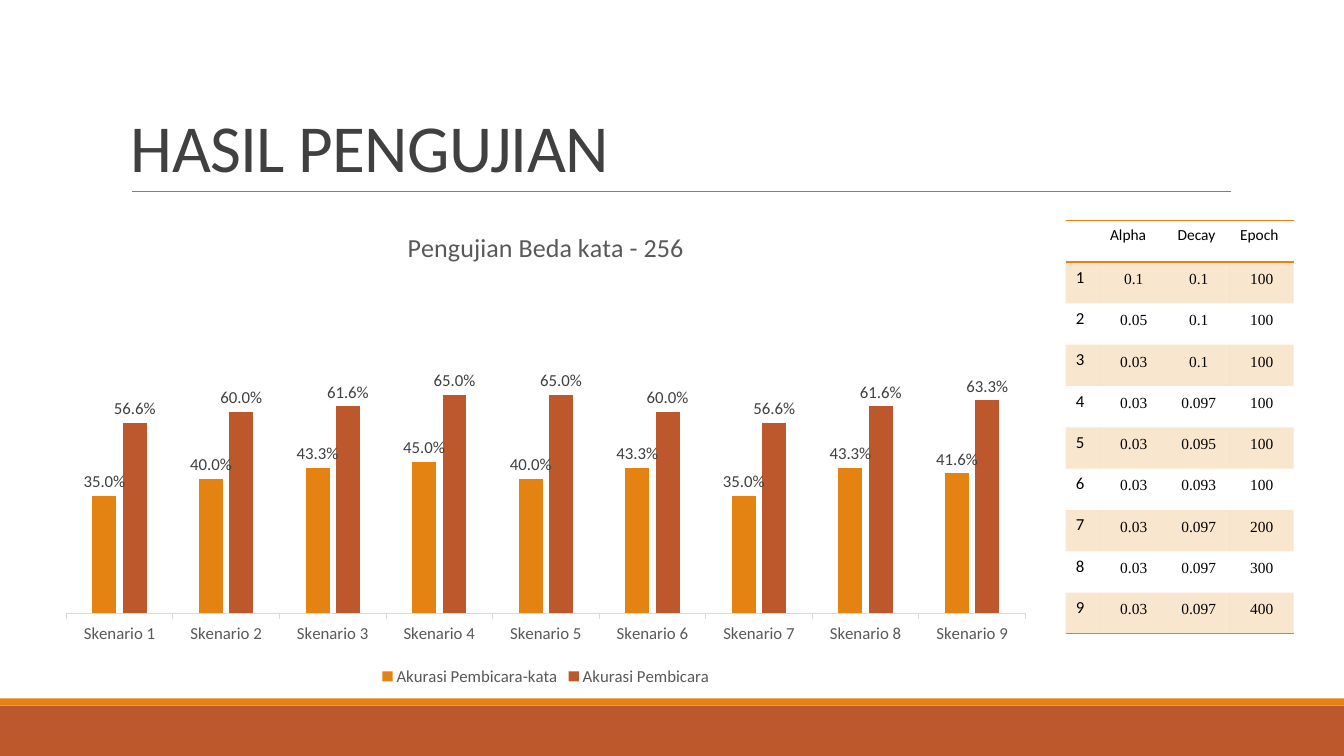
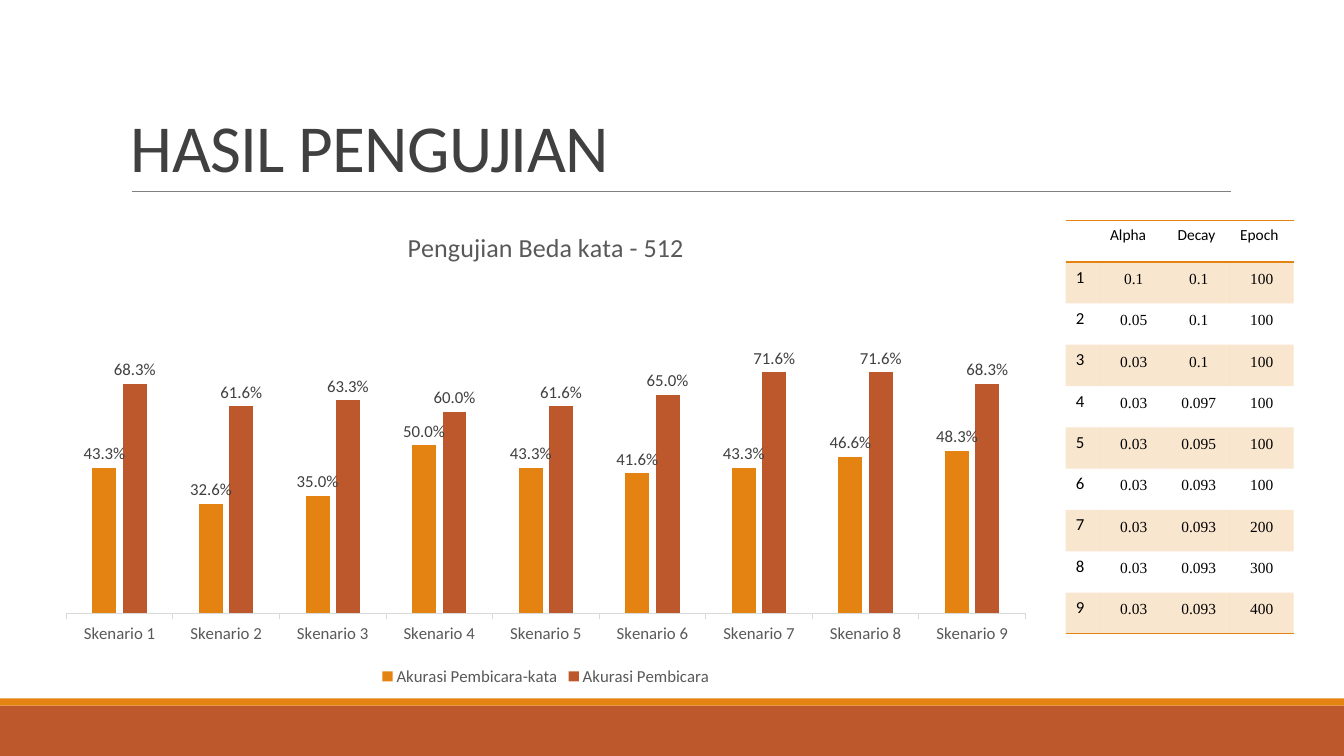
from lxml import etree
from pptx import Presentation
from pptx import util as u
from pptx.chart import data as chart_data
from pptx.dml import color as dml
from pptx.enum import chart as charts, shapes, text
from pptx.oxml import ns

# Content
TITLE = "HASIL PENGUJIAN"
SCENARIOS = [f"Skenario {number}" for number in range(1, 10)]
SERIES = [("Akurasi Pembicara-kata", "E48312"), ("Akurasi Pembicara", "BD582C")]
HEADERS = ["", "Alpha", "Decay", "Epoch"]
ALPHAS = ["0.1", "0.05"] + ["0.03"] * 7
EPOCHS = ["100"] * 6 + ["200", "300", "400"]
FIRST_DECAYS = ["0.1", "0.1", "0.1", "0.097", "0.095", "0.093"]

TESTS = [
    {
        "title": "Pengujian Beda kata - 256",
        "accuracies": [
            (0.35, 0.4, 0.433, 0.45, 0.4, 0.433, 0.35, 0.433, 0.416),
            (0.566, 0.6, 0.616, 0.65, 0.65, 0.6, 0.566, 0.616, 0.633),
        ],
        "decays": FIRST_DECAYS + ["0.097"] * 3,
    },
    {
        "title": "Pengujian Beda kata - 512",
        "accuracies": [
            (0.433, 0.326, 0.35, 0.5, 0.433, 0.416, 0.433, 0.466, 0.483),
            (0.683, 0.616, 0.633, 0.6, 0.616, 0.65, 0.716, 0.716, 0.683),
        ],
        "decays": FIRST_DECAYS + ["0.093"] * 3,
    },
]

# Shared look
ORANGE, RUST = "E48312", "BD582C"
BLACK, DARK, GRAY, RULE, AXIS = "000000", "404040", "595959", "808080", "D9D9D9"
SANS, SERIF = "Calibri", "Times New Roman"
WIDTH, HEIGHT = 13.33, 7.5
BANDS = [(7, 0.5, RUST), (6.93, 0.07, ORANGE)]
COLUMN_WIDTHS = [0.34, 0.67, 0.62, 0.63]
ROW_HEIGHT = 0.41
NO_GRID_STYLE = "{2D5ABB26-0587-4C30-8999-92F81FD0307C}"
PLOT_AREA = {"x": 0.02, "y": 0.14, "w": 0.96, "h": 0.7}


def rgb(value):
    return dml.RGBColor.from_string(value)


def box(*lengths):
    return [u.Inches(length) for length in lengths]


def style_font(font, size, color, name=SANS):
    font.size, font.name, font.bold = u.Pt(size), name, False
    font.color.rgb = rgb(color)


def add_run(paragraph, words, size, color, name=SANS):
    run = paragraph.add_run()
    run.text = words
    style_font(run.font, size, color, name)
    return run


def add_frame(slide):
    """Bottom bands, title rule and title."""
    for top, height, color in BANDS:
        band = slide.shapes.add_shape(
            shapes.MSO_SHAPE.RECTANGLE, *box(0, top, WIDTH, height))
        band.shadow.inherit = False
        band.fill.solid()
        band.fill.fore_color.rgb = rgb(color)
        band.line.fill.background()

    rule = slide.shapes.add_connector(
        shapes.MSO_CONNECTOR.STRAIGHT, *box(1.31, 1.9, 12.21, 1.9))
    rule.line.color.rgb = rgb(RULE)
    rule.line.width = u.Pt(0.5)
    etree.SubElement(rule.element.spPr, ns.qn("a:effectLst"))

    title = slide.shapes.add_textbox(*box(1.2, 0.31, 11, 1.59))
    frame = title.text_frame
    frame.word_wrap = True
    frame.vertical_anchor = text.MSO_ANCHOR.BOTTOM
    paragraph = frame.paragraphs[0]
    paragraph.line_spacing = 0.85
    run = add_run(paragraph, TITLE, 48, DARK)
    run.font._element.set("spc", "-50")


def set_plot_area(chart):
    area = chart.element.find(".//" + ns.qn("c:plotArea"))
    for old in area.findall(ns.qn("c:layout")):
        area.remove(old)
    layout = etree.Element(ns.qn("c:layout"))
    manual = etree.SubElement(layout, ns.qn("c:manualLayout"))
    settings = {"layoutTarget": "inner", "xMode": "edge", "yMode": "edge", **PLOT_AREA}
    for tag, value in settings.items():
        etree.SubElement(manual, ns.qn(f"c:{tag}")).set("val", str(value))
    area.insert(0, layout)


def add_accuracy_chart(slide, test):
    data = chart_data.CategoryChartData(number_format="0.0%")
    data.categories = SCENARIOS
    for (name, _), values in zip(SERIES, test["accuracies"]):
        data.add_series(name, values)
    chart = slide.shapes.add_chart(
        charts.XL_CHART_TYPE.COLUMN_CLUSTERED, *box(0.46, 2.08, 9.91, 4.77), data).chart
    style_font(chart.font, 10, BLACK)

    chart.has_title = True
    add_run(chart.chart_title.text_frame.paragraphs[0], test["title"], 18.6, GRAY)
    chart.has_legend = True
    chart.legend.position = charts.XL_LEGEND_POSITION.BOTTOM
    chart.legend.include_in_layout = False
    style_font(chart.legend.font, 12, GRAY)

    # Axes
    category_axis, value_axis = chart.category_axis, chart.value_axis
    category_axis.major_tick_mark = charts.XL_TICK_MARK.OUTSIDE
    category_axis.format.line.color.rgb = rgb(AXIS)
    category_axis.format.line.width = u.Pt(0.75)
    style_font(category_axis.tick_labels.font, 12, GRAY)
    value_axis.minimum_scale, value_axis.maximum_scale = 0, 1
    value_axis.has_major_gridlines = False
    value_axis.visible = False

    # Columns and their labels
    plot = chart.plots[0]
    plot.gap_width, plot.overlap, plot.vary_by_categories = 219, -27, False
    for series, (_, color) in zip(plot.series, SERIES):
        series.format.fill.solid()
        series.format.fill.fore_color.rgb = rgb(color)
        labels = series.data_labels
        labels.show_value = True
        labels.position = charts.XL_LABEL_POSITION.OUTSIDE_END
        labels.number_format, labels.number_format_is_linked = "0.0%", False
        style_font(labels.font, 12, DARK)
    set_plot_area(chart)


def add_border(cell, tag):
    line = etree.SubElement(cell._tc.get_or_add_tcPr(), ns.qn(f"a:{tag}"), w=str(u.Pt(1)))
    fill = etree.SubElement(line, ns.qn("a:solidFill"))
    etree.SubElement(fill, ns.qn("a:srgbClr"), val=ORANGE)


def fill_cell(cell, shaded):
    if not shaded:
        cell.fill.background()
        return
    cell.fill.solid()
    cell.fill.fore_color.rgb = rgb(ORANGE)
    color = cell._tc.tcPr.find(f"{ns.qn('a:solidFill')}/{ns.qn('a:srgbClr')}")
    etree.SubElement(color, ns.qn("a:alpha"), val="20000")


def write_cell(cell, words, row, column):
    paragraph = cell.text_frame.paragraphs[0]
    if row and column:
        cell.margin_left = cell.margin_right = u.Inches(0.07)
        cell.margin_top = cell.margin_bottom = 0
        paragraph.alignment = text.PP_ALIGN.CENTER
        paragraph.line_spacing = 1.5
        paragraph.space_after = u.Pt(10)
        add_run(paragraph, words, 11, BLACK, SERIF)
    elif words:
        add_run(paragraph, words, 12 if row else 11, BLACK)


def add_parameter_table(slide, test):
    numbers = [str(number) for number in range(1, 10)]
    rows = [HEADERS, *zip(numbers, ALPHAS, test["decays"], EPOCHS)]
    shape = slide.shapes.add_table(
        len(rows), len(HEADERS),
        *box(10.57, 2.19, sum(COLUMN_WIDTHS), ROW_HEIGHT * len(rows)))
    shape.element.find(".//" + ns.qn("a:tableStyleId")).text = NO_GRID_STYLE
    table = shape.table
    table.first_row = table.horz_banding = False
    for column, width in zip(table.columns, COLUMN_WIDTHS):
        column.width = u.Inches(width)
    last = len(rows) - 1
    for row, values in enumerate(rows):
        table.rows[row].height = u.Inches(ROW_HEIGHT)
        for column, words in enumerate(values):
            cell = table.cell(row, column)
            write_cell(cell, words, row, column)
            if row == 0:
                add_border(cell, "lnT")
            if row in (0, last):
                add_border(cell, "lnB")
            fill_cell(cell, shaded=row % 2 == 1)


def main():
    presentation = Presentation()
    presentation.slide_width, presentation.slide_height = box(WIDTH, HEIGHT)
    for test in TESTS:
        slide = presentation.slides.add_slide(presentation.slide_layouts[6])
        add_frame(slide)
        add_accuracy_chart(slide, test)
        add_parameter_table(slide, test)
    presentation.save("out.pptx")


if __name__ == "__main__":
    main()
